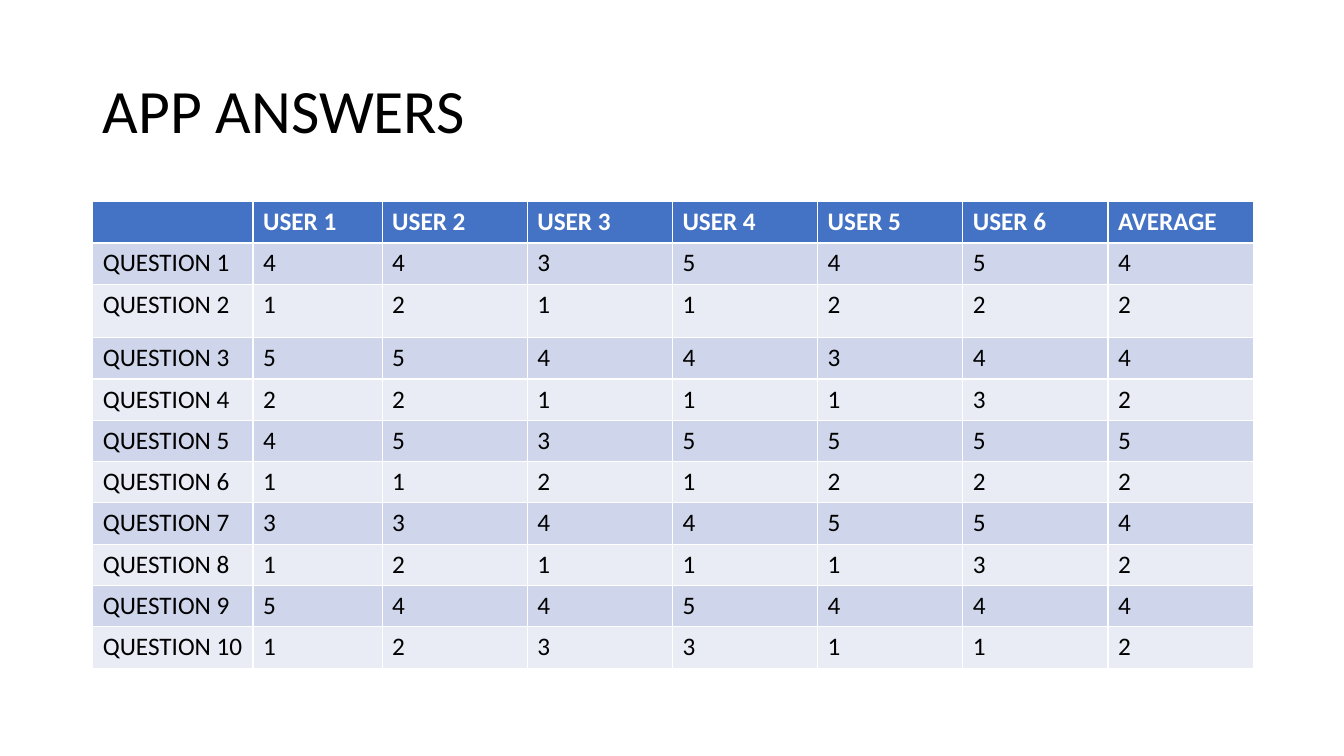
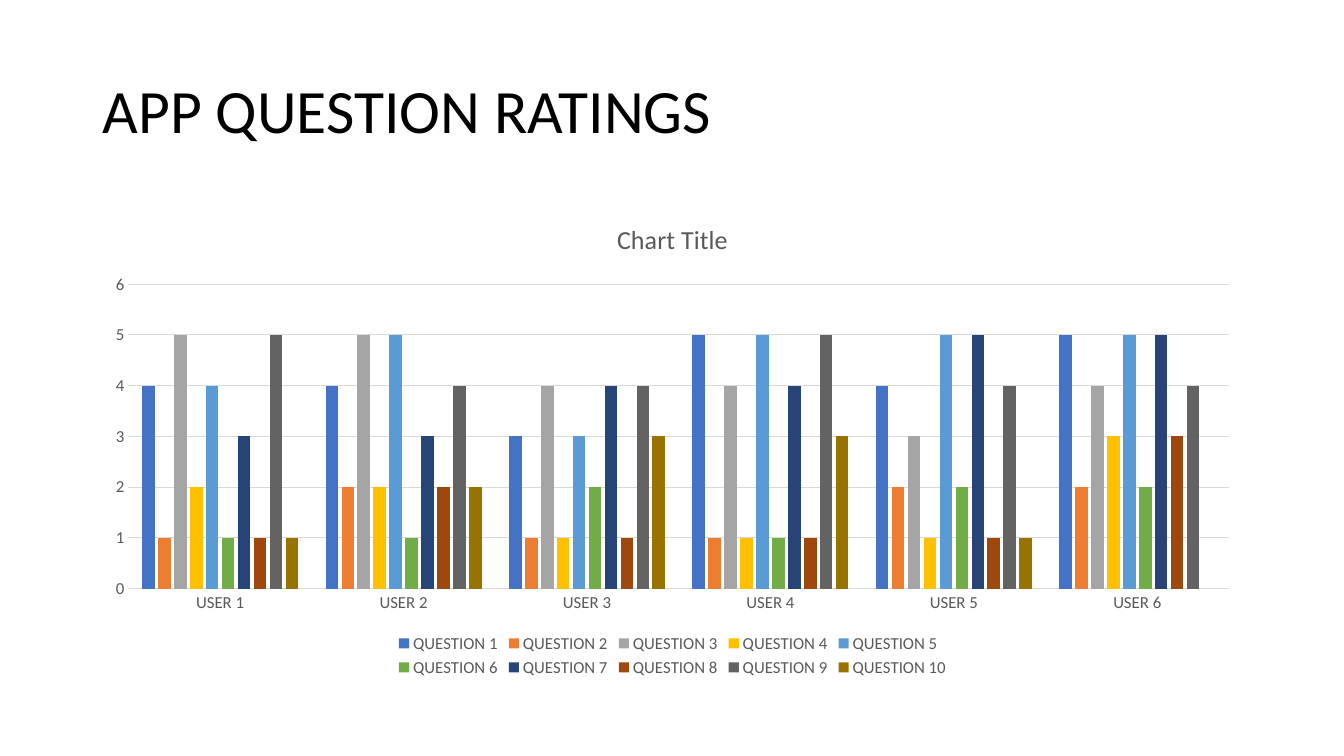
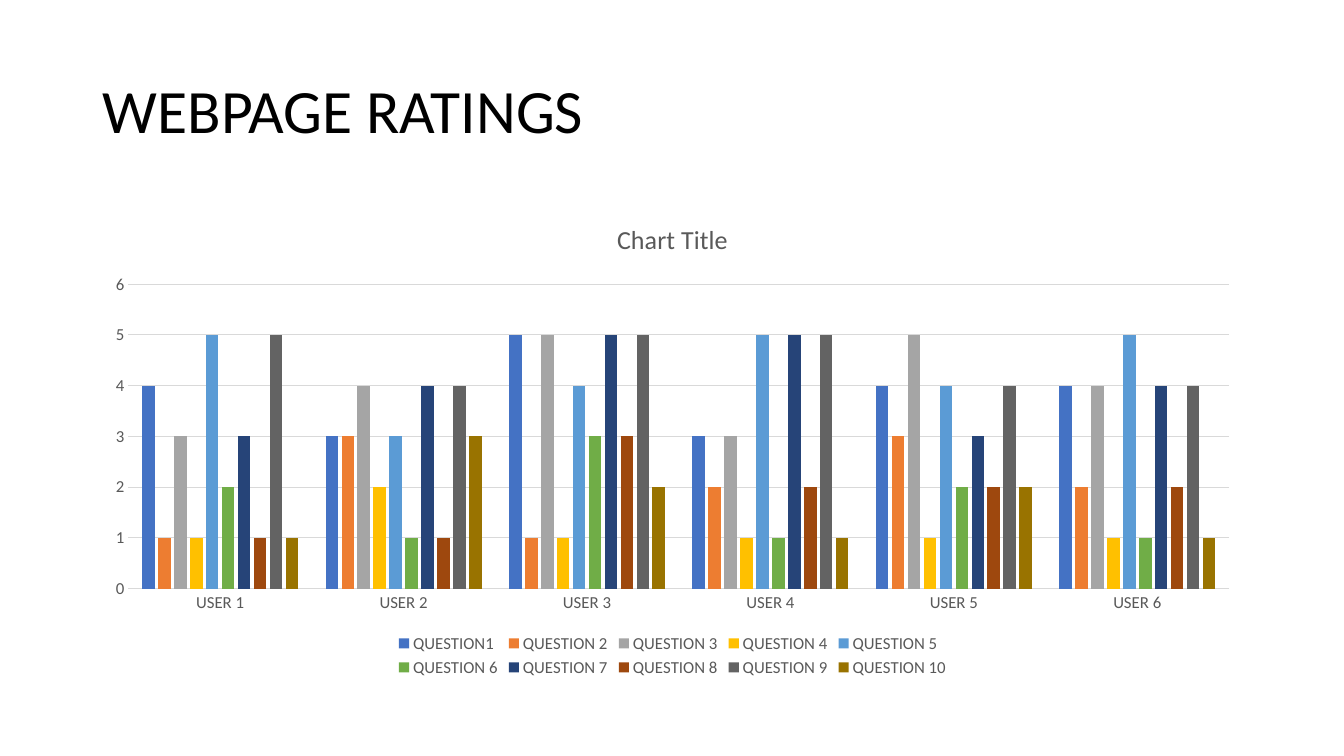
from pptx import Presentation
from pptx.chart.data import CategoryChartData
from pptx.dml.color import RGBColor
from pptx.enum.chart import XL_CHART_TYPE, XL_LEGEND_POSITION, XL_TICK_MARK
from pptx.enum.text import MSO_ANCHOR, MSO_AUTO_SIZE, PP_ALIGN
from pptx.util import Inches, Pt

BLACK = RGBColor(0x00, 0x00, 0x00)
WHITE = RGBColor(0xFF, 0xFF, 0xFF)
GREY = RGBColor(0x59, 0x59, 0x59)
RULE = RGBColor(0xD9, 0xD9, 0xD9)
HEAD = RGBColor(0x44, 0x72, 0xC4)
BANDS = [RGBColor(0xCF, 0xD5, 0xEA), RGBColor(0xE9, 0xEB, 0xF5)]
HUES = [HEAD] + [RGBColor.from_string(hue) for hue in (
    "ED7D31", "A5A5A5", "FFC000", "5B9BD5", "70AD47",
    "264478", "9E480E", "636363", "997300")]

USERS = [f"USER {n}" for n in range(1, 7)]
ITEMS = [f"QUESTION {n}" for n in range(1, 11)]
APP = [
    [4, 4, 3, 5, 4, 5],
    [1, 2, 1, 1, 2, 2],
    [5, 5, 4, 4, 3, 4],
    [2, 2, 1, 1, 1, 3],
    [4, 5, 3, 5, 5, 5],
    [1, 1, 2, 1, 2, 2],
    [3, 3, 4, 4, 5, 5],
    [1, 2, 1, 1, 1, 3],
    [5, 4, 4, 5, 4, 4],
    [1, 2, 3, 3, 1, 1],
]
WEB = [
    [4, 3, 5, 3, 4, 4],
    [1, 3, 1, 2, 3, 2],
    [3, 4, 5, 3, 5, 4],
    [1, 2, 1, 1, 1, 1],
    [5, 3, 4, 5, 4, 5],
    [2, 1, 3, 1, 2, 1],
    [3, 4, 5, 5, 3, 4],
    [1, 1, 3, 2, 2, 2],
    [5, 4, 5, 5, 4, 4],
    [1, 3, 2, 1, 2, 1],
]


def put(item, **vals):
    for name, val in vals.items():
        setattr(item, name, val)


class Deck:
    """Holds the shared style and the current slide."""

    font = "Calibri"
    left, top, width = Inches(0.92), Inches(2), Inches(11.5)

    def __init__(self):
        self.prs = Presentation()
        put(self.prs, slide_width=Inches(13.33), slide_height=Inches(7.5))

    def type(self, font, size, hue, bold=False):
        put(font, name=self.font, size=Pt(size), bold=bold)
        font.color.rgb = hue

    def rule(self, line):
        line.color.rgb = RULE
        line.width = Pt(0.75)

    def slide(self, text):
        self.page = self.prs.slides.add_slide(self.prs.slide_layouts[5])
        title = self.page.shapes.title
        put(title, left=self.left, top=Inches(0.4), width=self.width, height=Inches(1.45))
        put(title.text_frame, text=text, word_wrap=True,
            vertical_anchor=MSO_ANCHOR.MIDDLE, auto_size=MSO_AUTO_SIZE.NONE)
        para = title.text_frame.paragraphs[0]
        put(para, alignment=PP_ALIGN.LEFT, line_spacing=0.9)
        self.type(para.runs[0].font, 44, BLACK)

    def table(self, rows, cols, highs):
        grid = self.page.shapes.add_table(
            len(rows), len(cols), self.left, self.top, self.width, Inches(sum(highs))).table
        for col, wide in zip(grid.columns, cols):
            col.width = Inches(wide)
        for row, high in zip(grid.rows, highs):
            row.height = Inches(high)
        for r, row in enumerate(rows):
            for c, val in enumerate(row):
                cell = grid.cell(r, c)
                cell.text = str(val)
                cell.fill.solid()
                cell.fill.fore_color.rgb = BANDS[(r - 1) % 2] if r else HEAD
                self.type(cell.text_frame.paragraphs[0].font, 18,
                          BLACK if r else WHITE, r == 0)

    def chart(self, names, rows):
        data = CategoryChartData()
        data.categories = USERS
        for name, row in zip(names, rows):
            data.add_series(name, row)
        chart = self.page.shapes.add_chart(
            XL_CHART_TYPE.COLUMN_CLUSTERED, self.left, self.top,
            self.width, Inches(4.76), data).chart
        self.type(chart.font, 10, BLACK)
        put(chart, has_title=True, has_legend=True)
        title = chart.chart_title.text_frame
        title.text = "Chart Title"
        self.type(title.paragraphs[0].runs[0].font, 18.6, GREY)
        put(chart.legend, position=XL_LEGEND_POSITION.BOTTOM, include_in_layout=False)
        self.type(chart.legend.font, 12, GREY)
        plot = chart.plots[0]
        put(plot, gap_width=219, overlap=-27, vary_by_categories=False)
        for bars, hue in zip(plot.series, HUES):
            bars.invert_if_negative = False
            bars.format.fill.solid()
            bars.format.fill.fore_color.rgb = hue
        for axis in (chart.category_axis, chart.value_axis):
            put(axis, major_tick_mark=XL_TICK_MARK.NONE, minor_tick_mark=XL_TICK_MARK.NONE)
            self.type(axis.tick_labels.font, 12, GREY)
        self.rule(chart.category_axis.format.line)
        scale = chart.value_axis
        put(scale, minimum_scale=0, maximum_scale=6, major_unit=1, has_major_gridlines=True)
        scale.format.line.fill.background()
        self.rule(scale.major_gridlines.format.line)


def main():
    deck = Deck()

    deck.slide("APP ANSWERS")
    rows = [["", *USERS, "AVERAGE"]]
    for item, row in zip(ITEMS, APP):
        rows.append([item, *row, int(sum(row) / len(row) + 0.5)])
    deck.table(rows, [1.59, 1.28] + [1.44] * 6, [0.41] * 2 + [0.53] + [0.41] * 8)

    deck.slide("APP QUESTION RATINGS")
    deck.chart(ITEMS, APP[:-1] + [APP[-1][:-1] + [None]])

    deck.slide("WEBPAGE RATINGS")
    deck.chart(["QUESTION1"] + ITEMS[1:], WEB)

    deck.prs.save("out.pptx")


if __name__ == "__main__":
    main()
